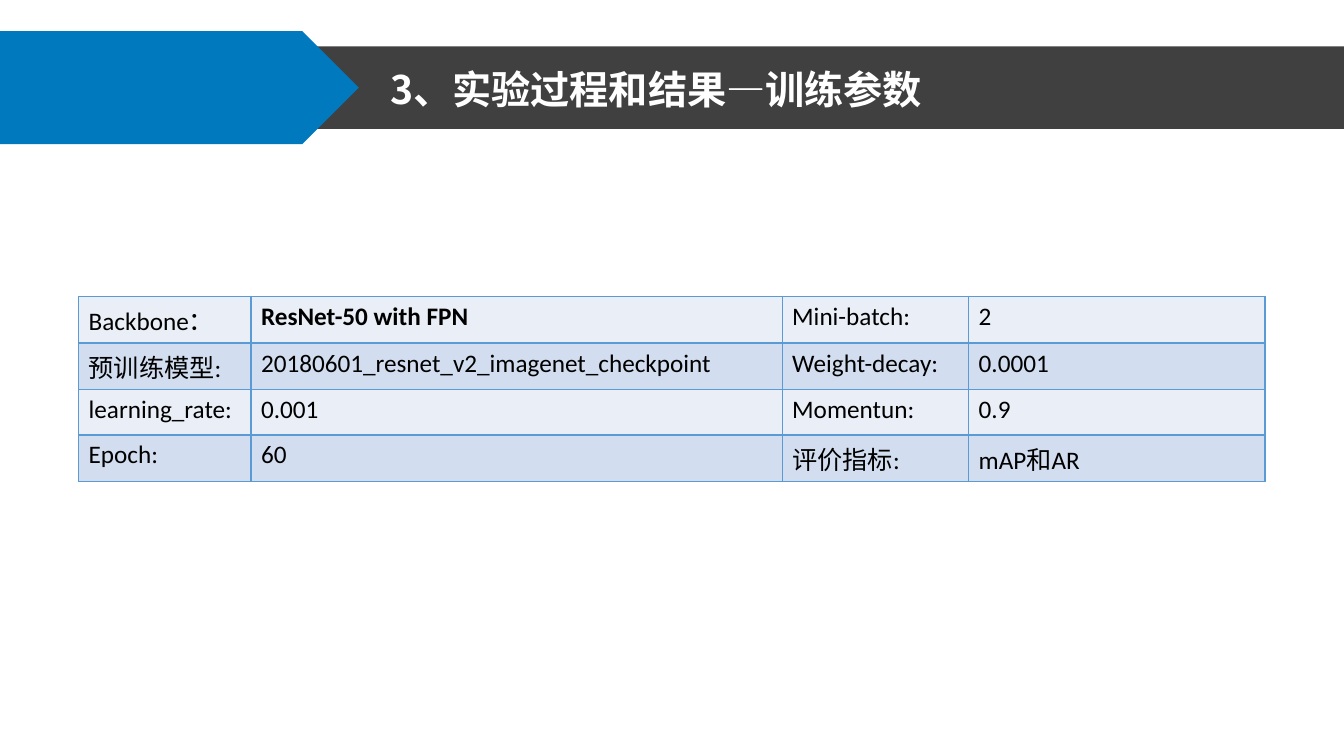
from lxml.etree import SubElement
from pptx import Presentation
from pptx.dml.color import RGBColor
from pptx.enum.shapes import MSO_SHAPE as Preset
from pptx.enum.text import MSO_ANCHOR as Anchor, MSO_AUTO_SIZE as AutoSize, PP_ALIGN as Align
from pptx.oxml.ns import qn
from pptx.util import Inches, Pt

COLORS = {
    "white": "FFFFFF",
    "black": "000000",
    "bar": "404040",
    "arrow": "0079BF",
    "border": "5B9BD5",
    "odd": "EAEFF7",
    "even": "D2DEEF",
}
LATIN, CHINESE = "Calibri", "Noto Sans CJK SC"
GRID_COLUMNS, GRID_ROWS = 80, 45
TABLE_COLUMNS = [10.26, 31.62, 11.1, 17.64]
PARAMETERS = [
    ["Backbone：", "ResNet-50 with FPN", "Mini-batch:", "2"],
    ["预训练模型:", "20180601_resnet_v2_imagenet_checkpoint", "Weight-decay:", "0.0001"],
    ["learning_rate:", "0.001", "Momentun:", "0.9"],
    ["Epoch:", "60", "评价指标:", "mAP和AR"],
]


def color(name):
    return RGBColor.from_string(COLORS[name])


def write(text_frame, text, font=LATIN, size=18, ink="black", bold=False, spacing=1.0):
    paragraph = text_frame.paragraphs[0]
    paragraph.alignment = Align.LEFT
    paragraph.line_spacing = spacing
    paragraph.space_before = Pt(0)
    run = paragraph.add_run()
    run.text = text
    run.font.name = font
    run.font.size = Pt(size)
    run.font.bold = bold
    run.font.color.rgb = color(ink)
    SubElement(run.font._element, qn("a:ea"), typeface=CHINESE)


class SlideBuilder:
    def __init__(self, presentation):
        self.unit = presentation.slide_width / GRID_COLUMNS
        self.slide = presentation.slides.add_slide(presentation.slide_layouts[5])

    def span(self, *lengths):
        return [round(length * self.unit) for length in lengths]

    def panel(self, preset, fill, *box):
        shape = self.slide.shapes.add_shape(preset, *self.span(*box))
        shape.shadow.inherit = False
        shape.fill.solid()
        shape.fill.fore_color.rgb = color(fill)
        shape.line.fill.background()

    def title(self, text, *box):
        title = self.slide.shapes.title
        title.left, title.top, title.width, title.height = self.span(*box)
        self.slide.shapes.element.append(title.element)
        frame = title.text_frame
        frame.word_wrap = True
        frame.auto_size = AutoSize.NONE
        frame.vertical_anchor = Anchor.MIDDLE
        write(frame, text, font=CHINESE, size=28, ink="white", bold=True, spacing=0.9)

    def borders(self, cell):
        properties = cell._tc.get_or_add_tcPr()
        for position, side in enumerate(("a:lnL", "a:lnR", "a:lnT", "a:lnB")):
            line = properties.makeelement(qn(side), {"w": str(Pt(1))})
            fill = SubElement(line, qn("a:solidFill"))
            SubElement(fill, qn("a:srgbClr"), val=COLORS["border"])
            properties.insert(position, line)

    def table(self, values, widths, row_height, left, top):
        box = self.span(left, top, sum(widths), row_height * len(values))
        table = self.slide.shapes.add_table(len(values), len(widths), *box).table
        for column, width in zip(table.columns, self.span(*widths)):
            column.width = width
        for row, texts in enumerate(values):
            for column, text in enumerate(texts):
                cell = table.cell(row, column)
                cell.fill.solid()
                cell.fill.fore_color.rgb = color("even" if row % 2 else "odd")
                self.borders(cell)
                write(cell.text_frame, text, bold=(row, column) == (0, 1))


def main():
    presentation = Presentation()
    presentation.slide_width = Inches(GRID_COLUMNS / 6)
    presentation.slide_height = Inches(GRID_ROWS / 6)
    builder = SlideBuilder(presentation)
    builder.panel(Preset.RECTANGLE, "bar", 17.58, 2.76, 62.42, 4.92)
    builder.panel(Preset.PENTAGON, "arrow", 0, 1.86, 21.36, 6.72)
    builder.title("3、实验过程和结果—训练参数", 22.62, 3.66, 43.56, 3.6)
    builder.table(PARAMETERS, TABLE_COLUMNS, 2.7, left=4.68, top=17.64)
    presentation.save("out.pptx")


if __name__ == "__main__":
    main()
